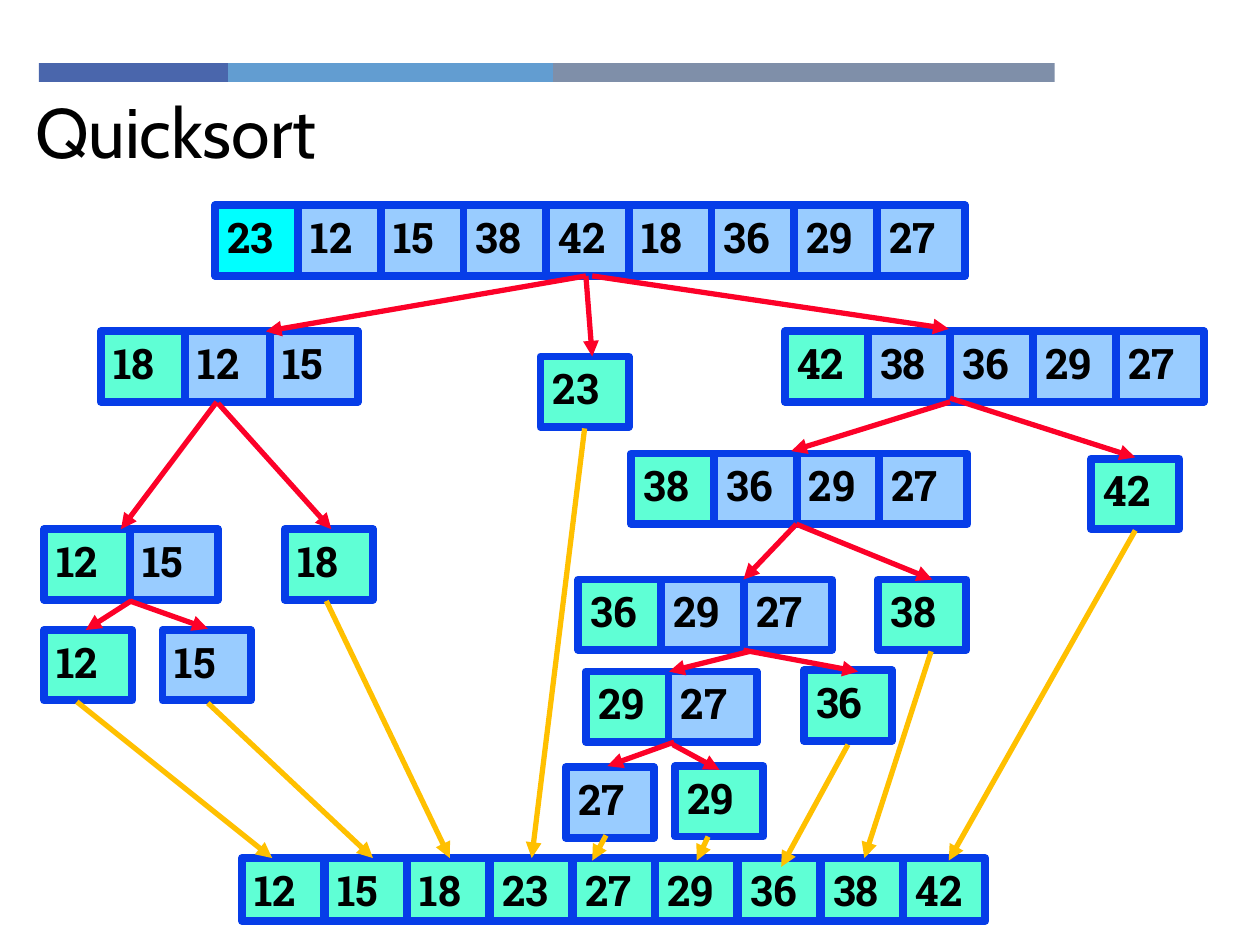
"""Build a slide that traces a quicksort from its input to the sorted list."""
from itertools import accumulate

from pptx import Presentation
from pptx import util as u
from pptx.dml.color import RGBColor
from pptx.enum import shapes, text
from pptx.oxml import xmlchemy as xc
from pptx.oxml.ns import qn

COLORS = {
    "navy": "4A66AC", "sky": "629DD1", "slate": "7F8FA9", "black": "000000",
    "cyan": "00FFFF", "blue": "99CCFF", "mint": "5FFFD5", "border": "063DE8",
    "split": "FC0128", "collect": "FFC000",
}
PITCH = 5.25 / 8
CELL = (0.7, 0.56)
SORTED_CELL = (0.65, 0.5)

LISTS = [
    (1.71, 1.63, PITCH, "cyan", [23, 12, 15, 38, 42, 18, 36, 29, 27]),
    (0.8, 2.63, 0.67, "mint", [18, 12, 15]),
    (4.29, 2.83, PITCH, "mint", [23]),
    (6.23, 2.63, PITCH, "mint", [42, 38, 36, 29, 27]),
    (0.35, 4.2, 0.68, "mint", [12, 15]),
    (2.26, 4.2, PITCH, "mint", [18]),
    (5.01, 3.6, PITCH, "mint", [38, 36, 29, 27]),
    (8.66, 3.64, PITCH, "mint", [42]),
    (4.59, 4.6, PITCH, "mint", [36, 29, 27]),
    (6.97, 4.6, PITCH, "mint", [38]),
    (6.38, 5.32, PITCH, "mint", [36]),
    (4.65, 5.33, PITCH, "mint", [29, 27]),
    (5.36, 6.08, PITCH, "mint", [29]),
    (4.49, 6.09, PITCH, "blue", [27]),
    (0.35, 5, PITCH, "mint", [12]),
    (1.29, 5, PITCH, "blue", [15]),
]
SORTED = [12, 15, 18, 23, 27, 29, 36, 38, 42]

ARROWS = {
    "split": [
        (2.11, 2.63, 4.65, 2.19), (4.7, 2.83, 4.65, 2.19), (7.53, 2.61, 4.7, 2.19),
        (0.96, 4.2, 1.72, 3.19), (2.63, 4.2, 1.73, 3.2),
        (6.28, 3.58, 7.54, 3.19), (9.01, 3.63, 7.54, 3.16),
        (5.9, 4.6, 6.32, 4.16), (7.4, 4.6, 6.32, 4.16),
        (5.31, 5.33, 5.95, 5.17), (6.81, 5.33, 5.9, 5.16),
        (0.68, 5, 1.04, 4.77), (1.65, 4.99, 1.03, 4.77),
        (4.82, 6.08, 5.35, 5.89), (5.71, 6.11, 5.34, 5.91),
    ],
    "collect": [
        (2.16, 6.81, 0.61, 5.57), (2.96, 6.81, 1.65, 5.58), (3.57, 6.81, 2.59, 4.77),
        (4.22, 6.81, 4.64, 3.4), (4.7, 6.83, 4.81, 6.63), (5.53, 6.83, 5.62, 6.64),
        (6.2, 6.88, 6.73, 5.91), (6.86, 6.81, 7.39, 5.17), (7.53, 6.83, 9.01, 4.21),
    ],
}


def rgb(name):
    """Return the named colour."""
    return RGBColor.from_string(COLORS[name])


def inches(*values):
    """Convert numbers to lengths."""
    return [u.Inches(v) for v in values]


def write(tf, words, **font):
    """Write one left-aligned line at the top of a text frame."""
    tf.word_wrap = True
    tf.vertical_anchor = text.MSO_ANCHOR.TOP
    p = tf.paragraphs[0]
    p.alignment = text.PP_ALIGN.LEFT
    r = p.add_run()
    r.text = words
    r.font.color.rgb = rgb("black")
    for name, value in font.items():
        setattr(r.font, name, value)


def add_rect(s, box, fill, line=None):
    """Add a flat rectangle with an optional border."""
    sp = s.shapes.add_shape(shapes.MSO_SHAPE.RECTANGLE, *inches(*box))
    sp.shadow.inherit = False
    sp.fill.solid()
    sp.fill.fore_color.rgb = rgb(fill)
    if line:
        sp.line.color.rgb = rgb(line)
        sp.line.width = u.Pt(4.5)
    else:
        sp.line.fill.background()
    return sp


def add_header(s, left, top, height):
    """Draw the three-part band with the title below it."""
    widths = [1.5, 2.58, 3.98]
    starts = accumulate(widths, initial=left)
    for x, width, fill in zip(starts, widths, ["navy", "sky", "slate"]):
        add_rect(s, (x, top, width, height), fill)
    title = s.shapes.add_textbox(*inches(left - 0.13, top + height, 9.38, 0.66))
    write(title.text_frame, "Quicksort", size=u.Pt(40), name="Cabin")


def add_list(s, left, top, pitch, first, rest, values, size):
    """Draw a row of number cells, the first in its own fill."""
    for i, value in enumerate(values):
        box = (left + i * pitch, top, *size)
        sp = add_rect(s, box, rest if i else first, "border")
        write(sp.text_frame, str(value), size=u.Pt(24), name="Roboto Slab", bold=True)


def add_arrow(s, ends, color):
    """Draw a line with a triangle at its first end."""
    cx = s.shapes.add_connector(shapes.MSO_CONNECTOR.STRAIGHT, *inches(*ends))
    cx.line.color.rgb = rgb(color)
    cx.line.width = u.Pt(3)
    ln = cx.line._get_or_add_ln()
    head = ln.makeelement(qn("a:headEnd"), {"type": "triangle"})
    ln.append(head)
    props = cx._element.spPr
    props.append(props.makeelement(qn("a:effectLst"), {}))


def add_tree(s, left, top):
    """Draw every list, the sorted result and the arrows between them."""
    for x, y, pitch, first, values in LISTS:
        add_list(s, left + x, top + y, pitch, first, "blue", values, CELL)
    add_list(s, left + 1.92, top + 6.81, PITCH, "mint", "mint", SORTED, SORTED_CELL)
    for color, arrows in ARROWS.items():
        for x1, y1, x2, y2 in arrows:
            add_arrow(s, (left + x1, top + y1, left + x2, top + y2), color)


def main():
    """Build and save the slide."""
    prs = Presentation()
    prs.slide_width, prs.slide_height = inches(10, 7.5)
    s = prs.slides.add_slide(prs.slide_layouts[6])
    add_header(s, 0.31, 0.5, 0.15)
    add_tree(s, 0, 0)
    prs.save("out.pptx")


if __name__ == "__main__":
    main()
